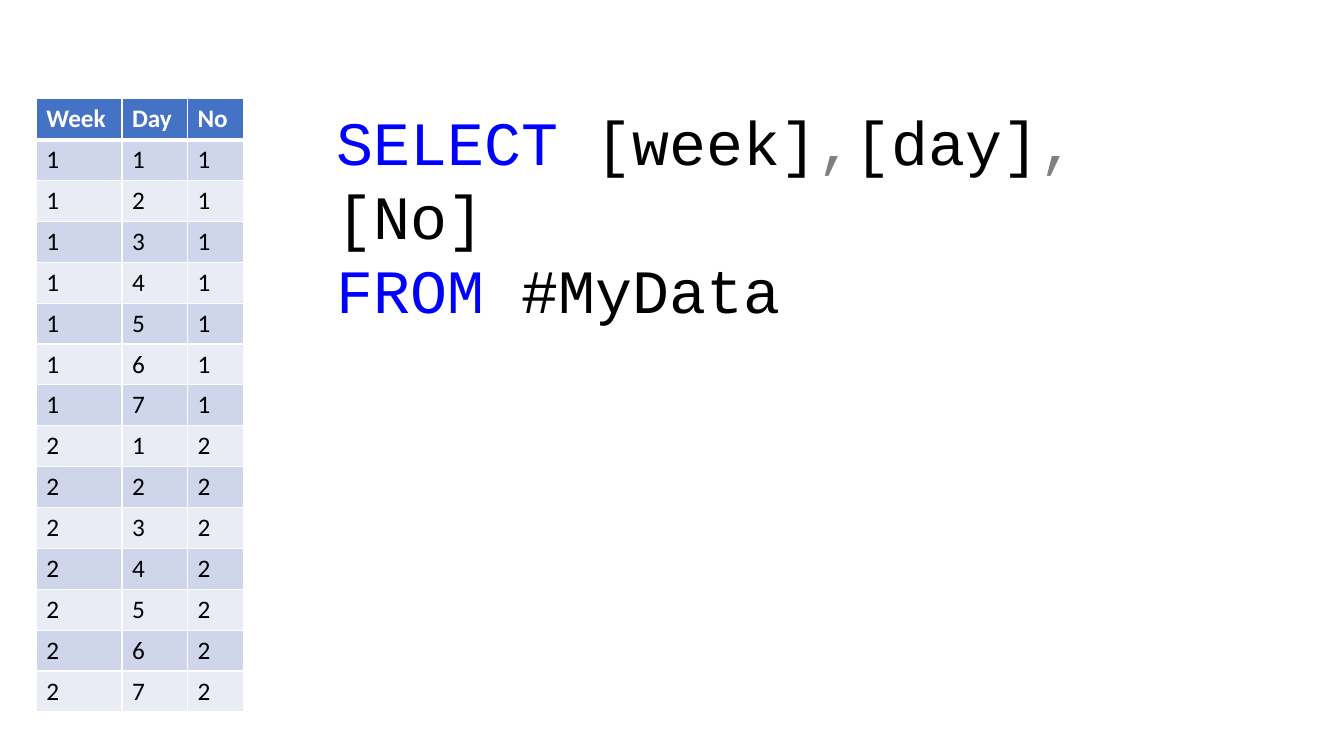
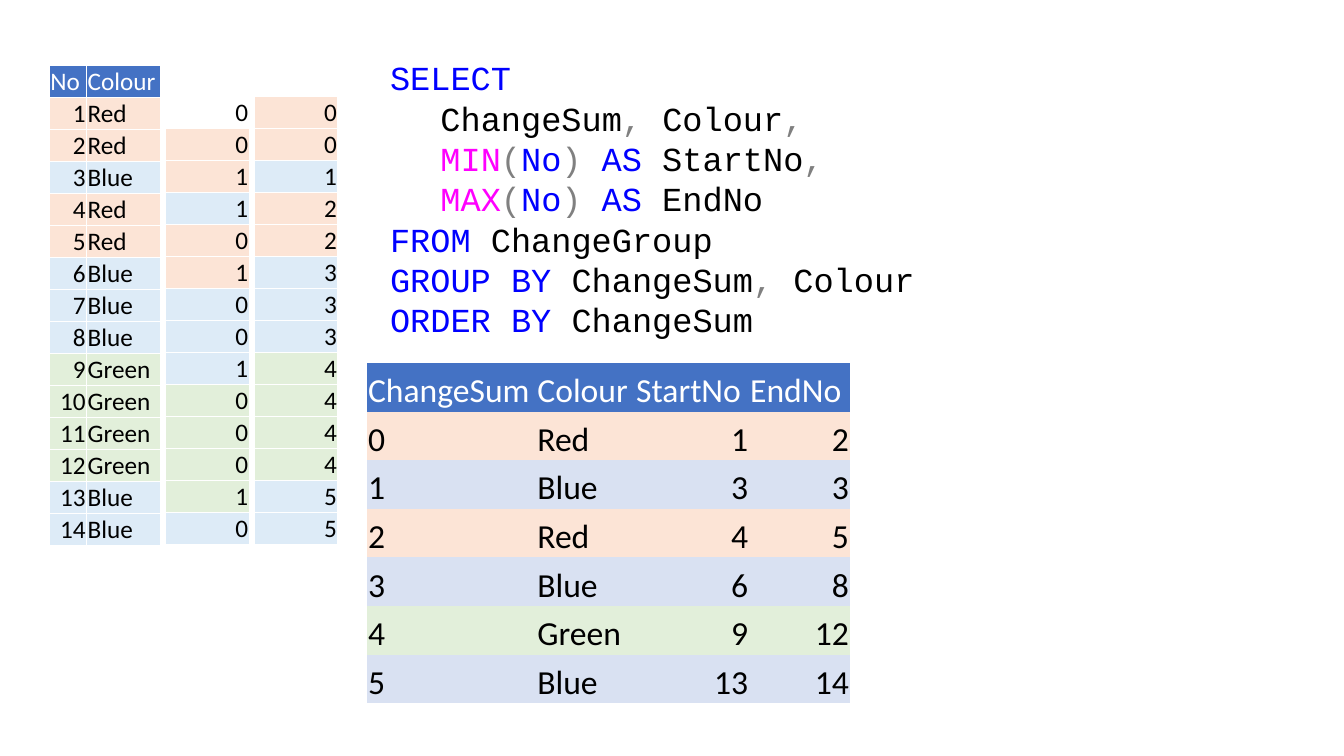
from dataclasses import dataclass
from itertools import accumulate, groupby
from typing import NamedTuple

from lxml import etree
from pptx import Presentation
from pptx.dml.color import RGBColor
from pptx.enum.text import MSO_ANCHOR, PP_ALIGN
from pptx.oxml.ns import qn
from pptx.slide import Slide
from pptx.table import _Cell
from pptx.text.text import _Paragraph
from pptx.util import Emu, Pt

LEFT, RIGHT = PP_ALIGN.LEFT, PP_ALIGN.RIGHT
TOP, BOTTOM = MSO_ANCHOR.TOP, MSO_ANCHOR.BOTTOM
PX = 9144  # 100 px to the inch
NO_STYLE = "{2D5ABB26-0587-4C30-8999-92F81FD0307C}"


@dataclass(frozen=True)
class Theme:
    white: str = "FFFFFF"
    black: str = "000000"
    header: str = "4472C4"
    bands: tuple[str, str] = ("CFD5EA", "E9EBF5")
    red: str = "FCE4D6"
    blue: str = "DDEBF7"
    summary_blue: str = "D9E1F2"
    green: str = "E2EFDA"
    keyword: str = "0000FF"
    function: str = "FF00FF"
    punctuation: str = "808080"
    body_font: str = "Calibri"
    code_font: str = "Courier New"
    table_size: int = 18
    summary_size: int = 24
    query_size: int = 44
    long_query_size: int = 24


THEME = Theme()


class Box(NamedTuple):
    left: int
    top: int
    width: int
    height: int

    def emu(self) -> list[Emu]:
        return [px(length) for length in self]


class Token(NamedTuple):
    text: str
    color: str = THEME.black


class CodeLine(NamedTuple):
    tokens: list[Token]
    indent: int = 0


class Row(NamedTuple):
    values: list[str]
    fill: str
    header: bool = False


@dataclass(frozen=True)
class Grid:
    box: Box
    columns: list[int]
    rows: list[Row]
    aligns: list[PP_ALIGN]
    size: int = THEME.table_size
    bold_header: bool = False
    border: float = 0.5
    header_rule: float = 0.5
    compact: bool = True


def px(length: int) -> Emu:
    return Emu(length * PX)


def add_text(paragraph: _Paragraph, text: str, *, size: int, color: str,
             font: str = THEME.body_font, bold: bool = False) -> None:
    run = paragraph.add_run()
    run.text = text
    run.font.name = font
    run.font.size = Pt(size)
    run.font.bold = bold
    run.font.color.rgb = RGBColor.from_string(color)


def set_borders(cell: _Cell, widths: dict[str, float]) -> None:
    properties = cell._tc.get_or_add_tcPr()
    for position, (side, width) in enumerate(widths.items()):
        line = etree.Element(qn(f"a:{side}"), w=str(Pt(width)))
        fill = etree.SubElement(line, qn("a:solidFill"))
        etree.SubElement(fill, qn("a:srgbClr"), val=THEME.white)
        properties.insert(position, line)


def add_grid(slide: Slide, grid: Grid) -> None:
    count = len(grid.rows)
    table = slide.shapes.add_table(count, len(grid.columns), *grid.box.emu()).table
    table.first_row = table.horz_banding = False
    table._tbl.tblPr.find(qn("a:tableStyleId")).text = NO_STYLE
    for column, width in zip(table.columns, grid.columns):
        column.width = px(width)
    for index, row in enumerate(grid.rows):
        table.rows[index].height = Emu(px(grid.box.height) // count)
        for column, value in enumerate(row.values):
            cell = table.cell(index, column)
            cell.fill.solid()
            cell.fill.fore_color.rgb = RGBColor.from_string(row.fill)
            if grid.compact:
                cell.margin_left = cell.margin_right = cell.margin_top = px(1)
                cell.margin_bottom = 0
            cell.vertical_anchor = BOTTOM if grid.compact else TOP
            if grid.border:
                top = grid.header_rule if index == 1 else grid.border
                bottom = grid.header_rule if row.header else grid.border
                set_borders(cell, {"lnL": grid.border, "lnR": grid.border,
                                   "lnT": top, "lnB": bottom})
            paragraph = cell.text_frame.paragraphs[0]
            paragraph.alignment = LEFT if row.header else grid.aligns[column]
            add_text(paragraph, value, size=grid.size,
                     color=THEME.white if row.header else THEME.black,
                     bold=row.header and grid.bold_header)


def add_query(slide: Slide, box: Box, lines: list[CodeLine], size: int) -> None:
    frame = slide.shapes.add_textbox(*box.emu()).text_frame
    frame.word_wrap = True
    for index, line in enumerate(lines):
        paragraph = frame.add_paragraph() if index else frame.paragraphs[0]
        if line.indent:
            paragraph.level = 1
            properties = paragraph._p.get_or_add_pPr()
            properties.set("marL", str(px(line.indent)))
            properties.set("indent", "0")
        for token in line.tokens:
            add_text(paragraph, token.text, size=size, color=token.color,
                     font=THEME.code_font)


def keyword(text: str) -> Token:
    return Token(text, THEME.keyword)


def punctuation(text: str) -> Token:
    return Token(text, THEME.punctuation)


def aggregate(function: str, alias: str) -> list[Token]:
    return [Token(function, THEME.function), punctuation("("), keyword("No"),
            punctuation(") "), keyword("AS "), Token(alias)]


COMMA = punctuation(",")


def build_week_slide(slide: Slide) -> None:
    # Two weeks of seven days
    days = [(week, day) for week in (1, 2) for day in range(1, 8)]
    rows = [Row(["Week", "Day", "No"], THEME.header, header=True)]
    rows += [Row([str(week), str(day), str(week)], THEME.bands[index % 2])
             for index, (week, day) in enumerate(days)]
    add_grid(slide, Grid(Box(36, 98, 206, 608), [85, 65, 56], rows, [LEFT] * 3,
                         bold_header=True, border=1, header_rule=3, compact=False))

    # Query
    add_query(slide, Box(324, 98, 850, 158), [
        CodeLine([keyword("SELECT"), Token(" [week]"), COMMA, Token("[day]"),
                  COMMA, Token("[No]")]),
        CodeLine([keyword("FROM"), Token(" #MyData")]),
    ], THEME.query_size)


def build_colour_slide(slide: Slide) -> None:
    fills = {"Red": THEME.red, "Blue": THEME.blue, "Green": THEME.green}
    colours = (["Red"] * 2 + ["Blue"] + ["Red"] * 2 + ["Blue"] * 3
               + ["Green"] * 4 + ["Blue"] * 2)
    previous = [None] + colours[:-1]
    changes = [int(before is not None and before != colour)
               for before, colour in zip(previous, colours)]
    change_sums = list(accumulate(changes))

    # Numbered colours
    rows = [Row(["No", "Colour"], THEME.header, header=True)]
    rows += [Row([str(number), colour], fills[colour])
             for number, colour in enumerate(colours, 1)]
    add_grid(slide, Grid(Box(49, 65, 110, 476), [37, 73], rows, [RIGHT, LEFT]))

    # Change flags, filled with the colour before, and their running sum
    flag_rows = [Row([str(change)], fills.get(before, THEME.white))
                 for change, before in zip(changes, previous)]
    sum_rows = [Row([str(total)], fills[colour])
                for total, colour in zip(change_sums, colours)]
    for left, column_rows in ((164, flag_rows), (252, sum_rows)):
        add_grid(slide, Grid(Box(left, 96, 83, 444), [83], column_rows, [RIGHT]))

    # Query
    add_query(slide, Box(377, 52, 667, 293), [
        CodeLine([keyword("SELECT")]),
        CodeLine([Token("ChangeSum"), COMMA, Token(" Colour"), COMMA], indent=50),
        CodeLine([*aggregate("MIN", "StartNo"), COMMA], indent=50),
        CodeLine(aggregate("MAX", "EndNo"), indent=50),
        CodeLine([keyword("FROM "), Token("ChangeGroup")]),
        CodeLine([keyword("GROUP BY "), Token("ChangeSum"), COMMA, Token(" Colour")]),
        CodeLine([keyword("ORDER BY "), Token("ChangeSum")]),
    ], THEME.long_query_size)

    # One summary row for each run of a colour
    summary_fills = fills | {"Blue": THEME.summary_blue}
    summary = [Row(["ChangeSum", "Colour", "StartNo", "EndNo"], THEME.header, header=True)]
    numbered = zip(change_sums, colours, range(1, len(colours) + 1))
    for (total, colour), members in groupby(numbered, key=lambda entry: entry[:2]):
        numbers = [number for _, _, number in members]
        summary.append(Row([str(total), colour, str(numbers[0]), str(numbers[-1])],
                           summary_fills[colour]))
    add_grid(slide, Grid(Box(364, 360, 479, 338), [168, 98, 113, 100], summary,
                         [LEFT, LEFT, RIGHT, RIGHT], size=THEME.summary_size, border=0))


def main() -> None:
    deck = Presentation()
    deck.slide_width, deck.slide_height = px(1333), px(750)
    blank = deck.slide_layouts[6]
    for build in (build_week_slide, build_colour_slide):
        build(deck.slides.add_slide(blank))
    deck.save("out.pptx")


if __name__ == "__main__":
    main()
